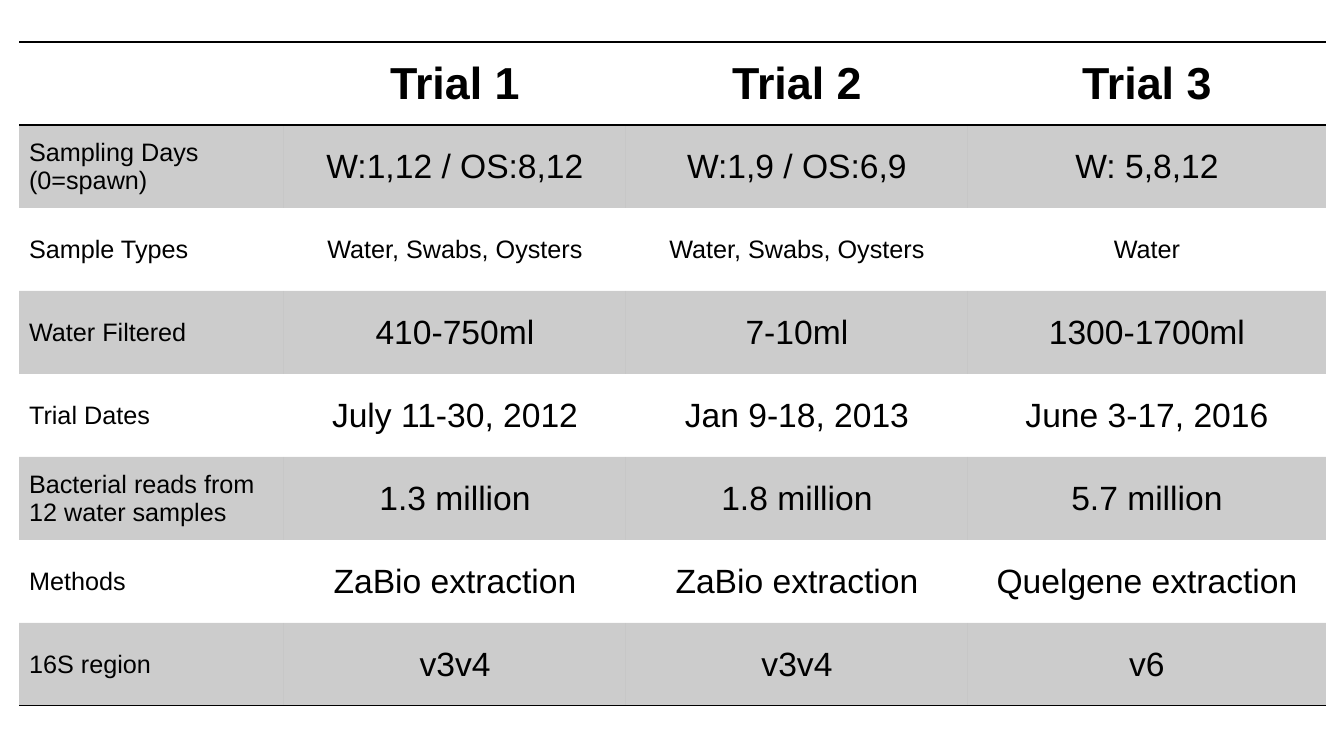
import dataclasses

import lxml.etree
import pptx
import pptx.dml.color
import pptx.enum.text
import pptx.oxml.ns
import pptx.util


@dataclasses.dataclass(frozen=True)
class Theme:
    font: str = "Arial"
    ink: str = "000000"
    band_alpha: int = 20000
    heading: int = 32
    value: int = 24
    label: int = 18
    rule: int = 1


THEME = Theme()
PX_PER_INCH = 100.8
NO_STYLE_NO_GRID = "{2D5ABB26-0587-4C30-8999-92F81FD0307C}"
TABLE_BOX = (19, 42, 1307, 664)
COLUMN_WIDTHS = (265, 342, 342, 358)
SMALL_ROW = "Sample Types"
ROWS = [
    ("", "Trial 1", "Trial 2", "Trial 3"),
    ("Sampling Days\n(0=spawn)", "W:1,12 / OS:8,12", "W:1,9 / OS:6,9", "W: 5,8,12"),
    (SMALL_ROW, "Water, Swabs, Oysters", "Water, Swabs, Oysters", "Water"),
    ("Water Filtered", "410-750ml", "7-10ml", "1300-1700ml"),
    ("Trial Dates", "July 11-30, 2012", "Jan 9-18, 2013", "June 3-17, 2016"),
    ("Bacterial reads from 12 water samples", "1.3 million", "1.8 million", "5.7 million"),
    ("Methods", "ZaBio extraction", "ZaBio extraction", "Quelgene extraction"),
    ("16S region", "v3v4", "v3v4", "v6"),
]


def px(n):
    return pptx.util.Emu(round(n * 914400 / PX_PER_INCH))


def sub(parent, tag, **attrs):
    return lxml.etree.SubElement(parent, pptx.oxml.ns.qn(tag), attrs)


def add_rules(cell, sides):
    """Draw the cell borders named in sides, given in schema order (T before B)."""
    tc_pr = cell._tc.get_or_add_tcPr()
    for i, side in enumerate(sides):
        ln = sub(tc_pr, f"a:ln{side}", w=str(pptx.util.Pt(THEME.rule)))
        sub(sub(ln, "a:solidFill"), "a:srgbClr", val=THEME.ink)
        tc_pr.insert(i, ln)  # borders must come before the fill


def fill_cell(cell, banded):
    if not banded:
        cell.fill.background()
        return
    cell.fill.solid()
    cell.fill.fore_color.rgb = pptx.dml.color.RGBColor.from_string(THEME.ink)
    color = cell._tc.tcPr.find(".//" + pptx.oxml.ns.qn("a:srgbClr"))
    sub(color, "a:alpha", val=str(THEME.band_alpha))


def write_cell(cell, text, size, bold, centred):
    align = pptx.enum.text.PP_ALIGN
    cell.text = text
    cell.vertical_anchor = pptx.enum.text.MSO_ANCHOR.MIDDLE
    for p in cell.text_frame.paragraphs:
        p.alignment = align.CENTER if centred else align.LEFT
        p.font.name = THEME.font
        p.font.size = pptx.util.Pt(size)
        p.font.bold = bold
        p.font.color.rgb = pptx.dml.color.RGBColor.from_string(THEME.ink)


def text_size(row, col):
    if row == 0:
        return THEME.heading
    if col == 0 or ROWS[row][0] == SMALL_ROW:
        return THEME.label
    return THEME.value


def add_trials_table(s, box):
    x, y, w, h = box
    frame = s.shapes.add_table(len(ROWS), len(COLUMN_WIDTHS), px(x), px(y), px(w), px(h))
    table = frame.table
    table.first_row = table.horz_banding = False
    style = table._tbl.tblPr.find(pptx.oxml.ns.qn("a:tableStyleId"))
    style.text = NO_STYLE_NO_GRID
    for column, width in zip(table.columns, COLUMN_WIDTHS):
        column.width = px(width * w / sum(COLUMN_WIDTHS))
    for i, values in enumerate(ROWS):
        table.rows[i].height = px(h / len(ROWS))
        sides = "TB" if i == 0 else "B" if i == len(ROWS) - 1 else ""
        for j, text in enumerate(values):
            cell = table.cell(i, j)
            write_cell(cell, text, text_size(i, j), bold=i == 0, centred=j > 0)
            fill_cell(cell, banded=i % 2 == 1)
            add_rules(cell, sides)


def main():
    prs = pptx.Presentation()
    prs.slide_width, prs.slide_height = px(1344), px(756)
    s = prs.slides.add_slide(prs.slide_layouts[6])
    add_trials_table(s, TABLE_BOX)
    prs.save("out.pptx")


if __name__ == "__main__":
    main()
